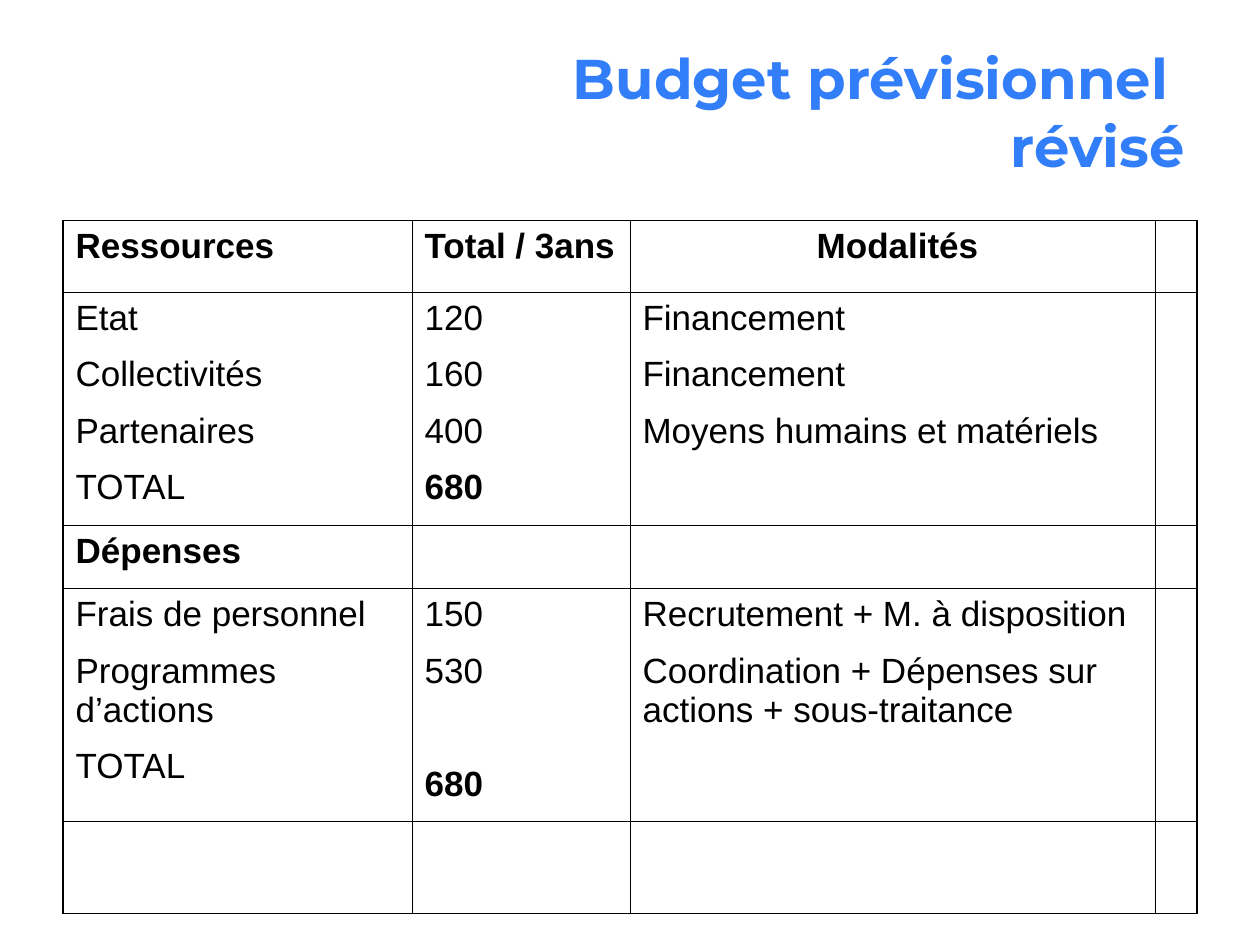
from dataclasses import dataclass

from lxml.etree import SubElement
from pptx import Presentation
from pptx.dml.color import RGBColor as Rgb
from pptx.enum.text import MSO_ANCHOR as Anchor, PP_ALIGN as Align
from pptx.oxml.ns import qn
from pptx.util import Pt

COLORS = {"title": "327DF8", "text": "000000", "border": "000000"}
COLUMN_WIDTHS = [199.5, 124.5, 300.3, 23.7]
ROW_HEIGHTS = [41, 133.2, 36, 133.2, 52.6]
INNER_BORDER, OUTER_BORDER = 0.45, 1.08


@dataclass(frozen=True)
class Entry:
    text: str
    bold: bool = False
    align: Align = Align.LEFT
    space_before: float = 0


def entries(*texts: str) -> list[Entry]:
    return [Entry(text) for text in texts]


BUDGET: dict[tuple[int, int], list[Entry]] = {
    (0, 0): [Entry("Ressources", True)],
    (0, 1): [Entry("Total / 3ans", True)],
    (0, 2): [Entry(" Modalités", True, Align.CENTER)],
    (1, 0): entries("Etat", "Collectivités", "Partenaires", "TOTAL"),
    (1, 1): entries("120", "160", "400") + [Entry("680", True)],
    (1, 2): entries("Financement", "Financement", "Moyens humains et matériels"),
    (2, 0): [Entry("Dépenses", True)],
    (3, 0): entries("Frais de personnel", "Programmes d’actions", "TOTAL"),
    # The total sits one line lower, below the two-line programme entry.
    (3, 1): entries("150", "530") + [Entry("680", True, space_before=32.3)],
    (3, 2): entries("Recrutement + M. à disposition",
                    "Coordination + Dépenses sur actions + sous-traitance"),
}


def style_runs(para, font_name: str, size: float, color: str, bold: bool) -> None:
    for span in para.runs:
        span.font.name = font_name
        span.font.size = Pt(size)
        span.font.bold = bold
        span.font.color.rgb = Rgb.from_string(COLORS[color])


def add_title(page) -> None:
    box = page.shapes.add_textbox(Pt(36), Pt(21.6), Pt(648), Pt(129.6))
    frame = box.text_frame
    frame.word_wrap = True
    frame.vertical_anchor = Anchor.TOP
    frame.text = "Budget prévisionnel \vrévisé"
    para = frame.paragraphs[0]
    para.alignment = Align.RIGHT
    style_runs(para, "Montserrat", 32, "title", True)


def fill_cell(cell, cell_entries: list[Entry]) -> None:
    frame = cell.text_frame
    for index, entry in enumerate(cell_entries):
        para = frame.add_paragraph() if index else frame.paragraphs[0]
        para.text = entry.text
        para.alignment = entry.align
        para.space_after = Pt(10)
        if entry.space_before:
            para.space_before = Pt(entry.space_before)
        style_runs(para, "Arial", 20, "text", entry.bold)


def set_borders(cell, row: int, column: int) -> None:
    """Draw thin lines inside the table and thicker ones on its rim."""
    on_rim = {
        "a:lnL": column == 0,
        "a:lnR": column == len(COLUMN_WIDTHS) - 1,
        "a:lnT": row == 0,
        "a:lnB": row == len(ROW_HEIGHTS) - 1,
    }
    properties = cell._tc.get_or_add_tcPr()
    for tag, is_outer in on_rim.items():
        width = Pt(OUTER_BORDER if is_outer else INNER_BORDER)
        line = SubElement(properties, qn(tag), w=str(width))
        fill = SubElement(line, qn("a:solidFill"))
        SubElement(fill, qn("a:srgbClr"), val=COLORS["border"])


def add_budget_table(page) -> None:
    frame = page.shapes.add_table(
        len(ROW_HEIGHTS), len(COLUMN_WIDTHS), Pt(36), Pt(126),
        Pt(sum(COLUMN_WIDTHS)), Pt(sum(ROW_HEIGHTS)))
    table = frame.table
    table.first_row = table.horz_banding = False
    for column, width in enumerate(COLUMN_WIDTHS):
        table.columns[column].width = Pt(width)
    for row, height in enumerate(ROW_HEIGHTS):
        table.rows[row].height = Pt(height)
        for column in range(len(COLUMN_WIDTHS)):
            cell = table.cell(row, column)
            fill_cell(cell, BUDGET.get((row, column), []))
            set_borders(cell, row, column)
            cell.fill.background()


def main() -> None:
    deck = Presentation()
    deck.slide_width, deck.slide_height = Pt(720), Pt(540)
    page = deck.slides.add_slide(deck.slide_layouts[6])
    add_title(page)
    add_budget_table(page)
    deck.save("out.pptx")


if __name__ == "__main__":
    main()
